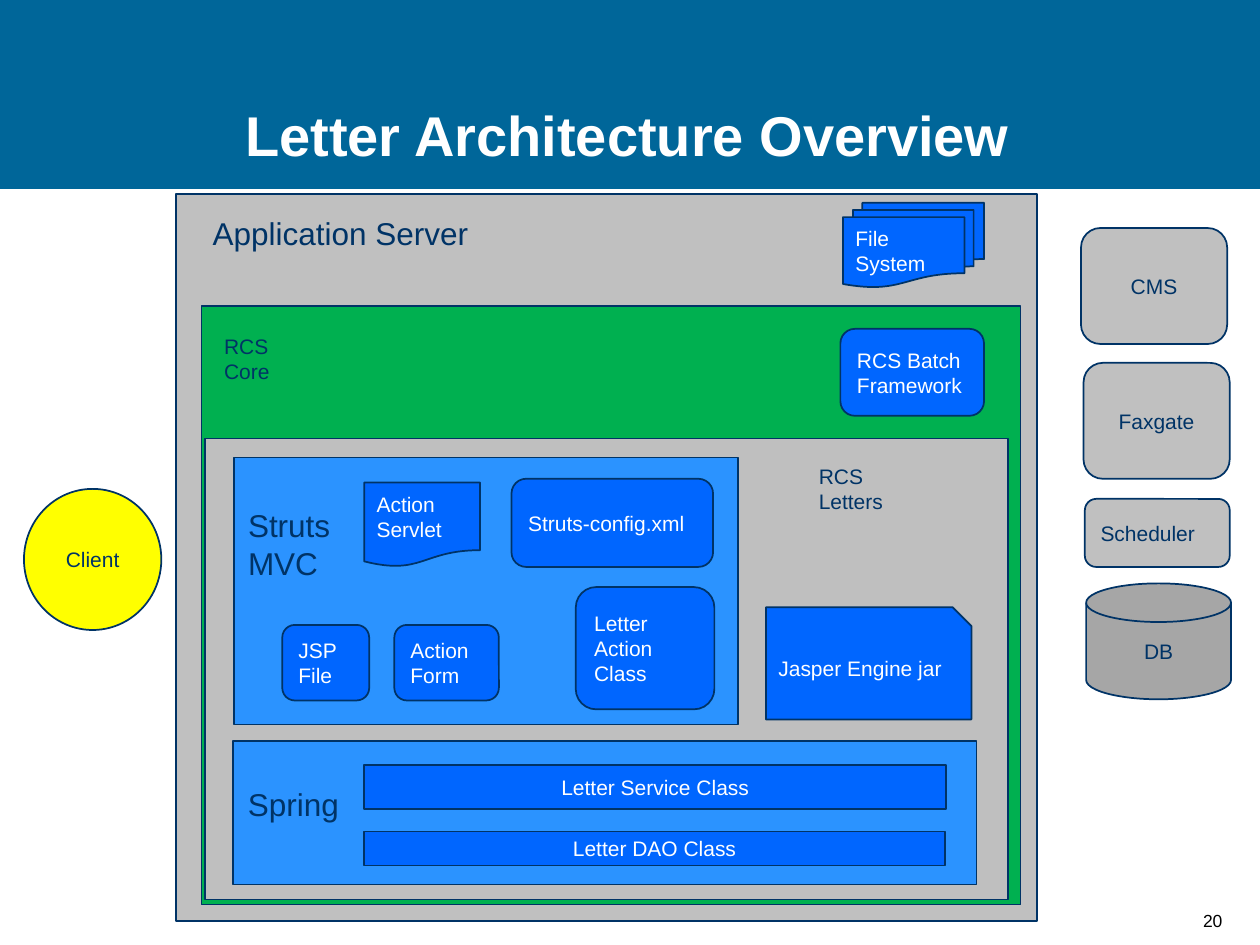
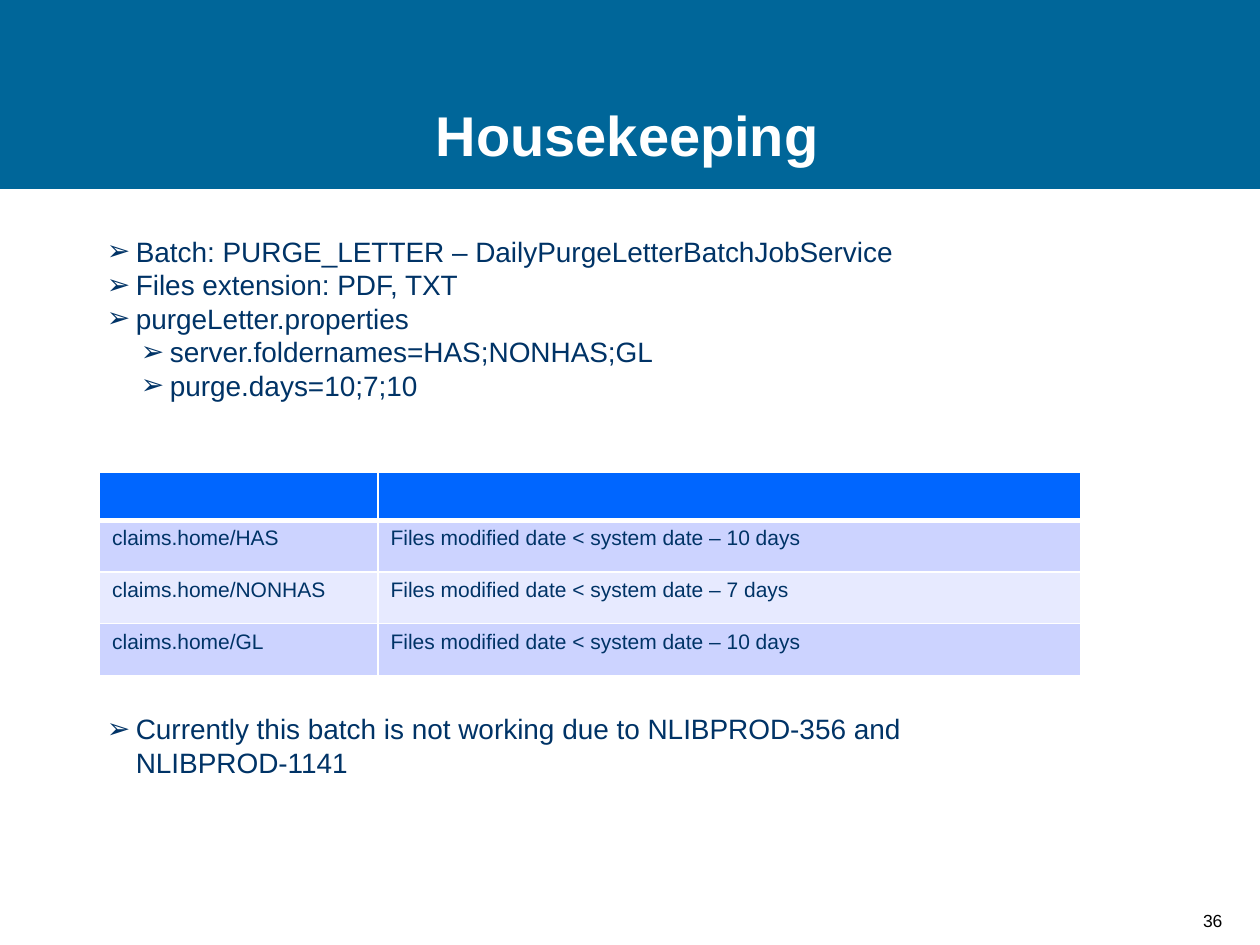
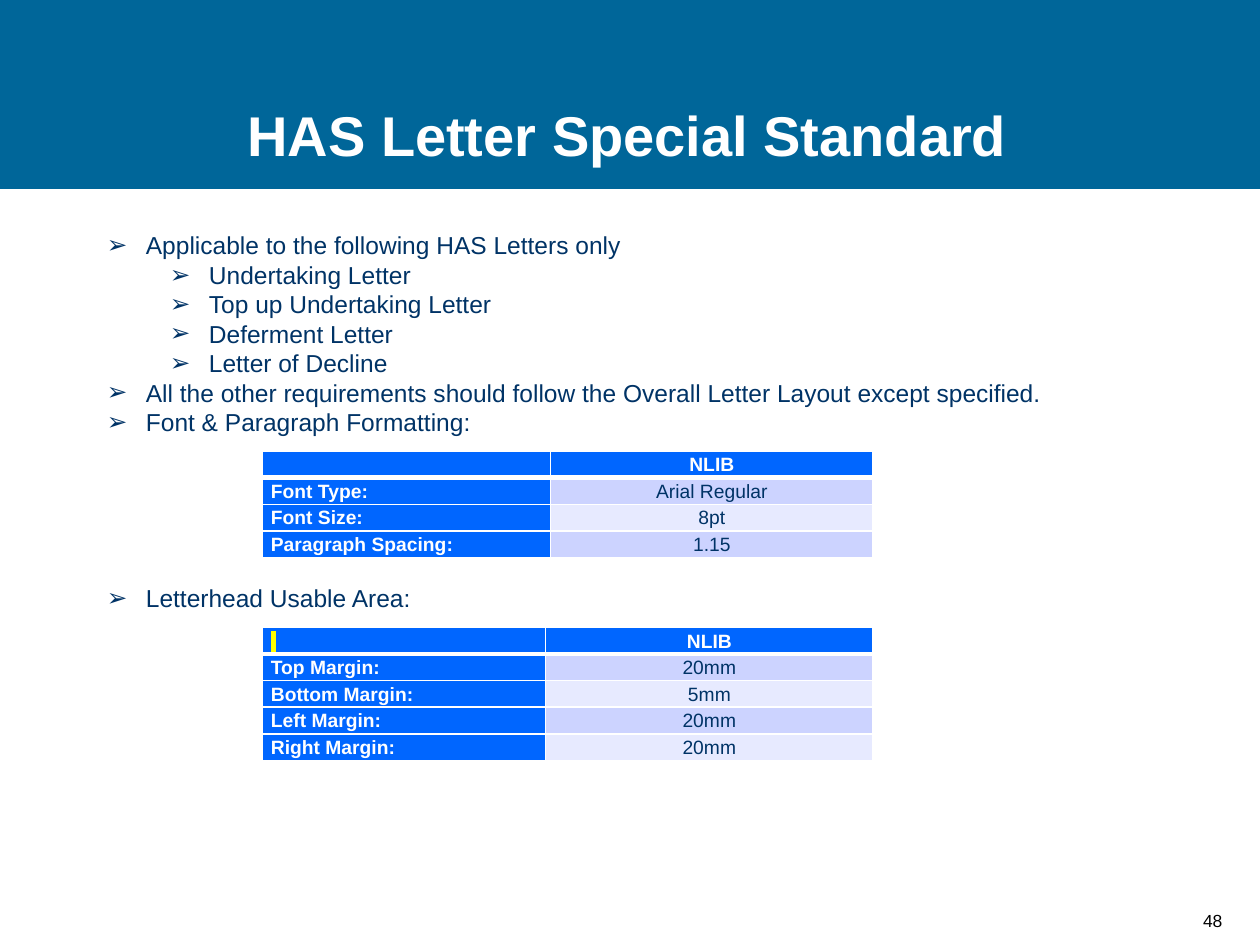
import pptx
import pptx.util
import pptx.dml.color
import pptx.enum.shapes
import pptx.enum.text
import pptx.oxml
import pptx.oxml.ns
import lxml.etree

Inches = pptx.util.Inches
Pt = pptx.util.Pt
RGBColor = pptx.dml.color.RGBColor
Shape = pptx.enum.shapes.MSO_SHAPE
Align = pptx.enum.text.PP_ALIGN
Anchor = pptx.enum.text.MSO_ANCHOR
qn = pptx.oxml.ns.qn

# Shared style
FONT = "Arial"
BAND = RGBColor(0x00, 0x66, 0x99)
NAVY = RGBColor(0x00, 0x33, 0x66)
BLUE = RGBColor(0x00, 0x66, 0xFF)
SKY = RGBColor(0x2B, 0x93, 0xFF)
GREEN = RGBColor(0x00, 0xB0, 0x50)
YELLOW = RGBColor(0xFF, 0xFF, 0x00)
SILVER = RGBColor(0xC0, 0xC0, 0xC0)
LIGHT = RGBColor(0xBF, 0xBF, 0xBF)
GRAY = RGBColor(0xA6, 0xA6, 0xA6)
LILAC = RGBColor(0xCC, 0xD3, 0xFF)
PALE = RGBColor(0xE7, 0xEA, 0xFF)
WHITE = RGBColor(0xFF, 0xFF, 0xFF)
BLACK = RGBColor(0x00, 0x00, 0x00)
LEFT, MID, RIGHT = Align.LEFT, Align.CENTER, Align.RIGHT


def style(par, size, color, align=LEFT, bold=False):
    par.alignment = align
    for run in par.runs:
        run.font.name = FONT
        run.font.size = Pt(size)
        run.font.bold = bold
        run.font.color.rgb = color


def draw(slide, kind, at, text="", fill=None, line=NAVY, size=12,
         color=NAVY, align=LEFT, bold=False, anchor=Anchor.MIDDLE):
    """Add a preset shape, or a text box when kind is None."""
    spot = [Inches(n) for n in at]
    if kind is None:
        item = slide.shapes.add_textbox(*spot)
    else:
        item = slide.shapes.add_shape(kind, *spot)
        item.shadow.inherit = False
        item.fill.solid()
        item.fill.fore_color.rgb = fill
        if line is None:
            item.line.fill.background()
        else:
            item.line.color.rgb = line
            item.line.width = Pt(1)
    frame = item.text_frame
    frame.word_wrap = True
    frame.vertical_anchor = anchor
    if text:
        frame.text = text
        for par in frame.paragraphs:
            style(par, size, color, align, bold)
    return item


deck = pptx.Presentation()
deck.slide_width = Inches(10)
deck.slide_height = Inches(7.5)

# Band, title and page number on every slide
pages = []
for title, number in [("Letter Architecture Overview", "20"),
                      ("Housekeeping", "36"),
                      ("HAS Letter Special Standard", "48")]:
    page = deck.slides.add_slide(deck.slide_layouts[6])
    draw(page, Shape.RECTANGLE, (0, 0, 10, 1.5), fill=BAND, line=None)
    draw(page, None, (1.83, 0.5, 6.3, 0.88), title, size=32, color=WHITE,
         align=MID, bold=True, anchor=Anchor.BOTTOM)
    foot = draw(page, None, (7.95, 7.14, 1.85, 0.3), number, size=10,
                color=BLACK, align=RIGHT, anchor=Anchor.BOTTOM)
    foot.text_frame.paragraphs[0].line_spacing = 0.8
    pages.append(page)
arch, house, special = pages

# Architecture: nested layers
for at, fill in [((1.4, 1.54, 6.83, 5.77), SILVER),
                 ((1.6, 2.43, 6.5, 4.75), GREEN),
                 ((1.63, 3.48, 6.37, 3.66), LIGHT),
                 ((1.86, 3.63, 4, 2.12), SKY),
                 ((1.85, 5.88, 5.9, 1.14), SKY)]:
    draw(arch, Shape.RECTANGLE, at, fill=fill)

# Architecture: layer names
for at, text, size in [((1.59, 1.65, 2.33, 0.4), "Application Server", 18),
                       ((1.68, 2.6, 0.83, 0.5), "RCS Core", 12),
                       ((1.87, 3.97, 0.91, 0.71), "Struts MVC", 18),
                       ((6.4, 3.63, 0.83, 0.5), "RCS Letters", 12),
                       ((1.87, 6.18, 1.07, 0.4), "Spring", 18)]:
    draw(arch, None, at, text, size=size, anchor=Anchor.TOP)

# Architecture: parts inside the server
ROUND = Shape.ROUNDED_RECTANGLE
for kind, at, text, align in [
        (Shape.FLOWCHART_MULTIDOCUMENT, (6.69, 1.61, 1.12, 0.67), "File System", LEFT),
        (ROUND, (6.67, 2.61, 1.14, 0.69), "RCS Batch Framework", LEFT),
        (Shape.FLOWCHART_DOCUMENT, (2.89, 3.83, 0.92, 0.67), "Action Servlet", LEFT),
        (ROUND, (4.06, 3.8, 1.6, 0.7), "Struts-config.xml", LEFT),
        (ROUND, (4.57, 4.66, 1.1, 0.97), "Letter Action Class", LEFT),
        (ROUND, (2.24, 4.96, 0.69, 0.6), "JSP File", LEFT),
        (ROUND, (3.13, 4.96, 0.83, 0.6), "Action Form", LEFT),
        (Shape.SNIP_1_RECTANGLE, (6.08, 4.82, 1.63, 0.89), "Jasper Engine jar", LEFT),
        (Shape.RECTANGLE, (2.89, 6.07, 4.62, 0.35), "Letter Service Class", MID),
        (Shape.RECTANGLE, (2.89, 6.6, 4.61, 0.27), "Letter DAO Class", MID)]:
    draw(arch, kind, at, text, BLUE, color=WHITE, align=align)

# Architecture: client and outside systems
for kind, at, text, fill, align in [
        (Shape.OVAL, (0.19, 3.88, 1.09, 1.12), "Client", YELLOW, MID),
        (ROUND, (8.58, 1.81, 1.16, 0.92), "CMS", SILVER, MID),
        (ROUND, (8.6, 2.88, 1.16, 0.92), "Faxgate", SILVER, MID),
        (ROUND, (8.61, 3.96, 1.15, 0.54), "Scheduler", SILVER, LEFT),
        (Shape.FLOWCHART_MAGNETIC_DISK, (8.62, 4.63, 1.15, 0.92), "DB", GRAY, MID)]:
    draw(arch, kind, at, text, fill, align=align)

# Bullet lists: each point is (level, text); margins are per level
duties = [(0, "Batch: PURGE_LETTER – DailyPurgeLetterBatchJobService"),
          (0, "Files extension: PDF, TXT"),
          (0, "purgeLetter.properties"),
          (1, "server.foldernames=HAS;NONHAS;GL"),
          (1, "purge.days=10;7;10")]
status = [(0, "Currently this batch is not working due to "
              "NLIBPROD-356 and NLIBPROD-1141")]
rules = [(0, "Applicable to the following HAS Letters only"),
         (1, "Undertaking Letter"),
         (1, "Top up Undertaking Letter"),
         (1, "Deferment Letter"),
         (1, "Letter of Decline"),
         (0, "All the other requirements should follow the Overall "
             "Letter Layout except specified."),
         (0, "Font & Paragraph Formatting:"),
         (0, "Letterhead Usable Area:")]
for page, at, size, hang, edges, points in [
        (house, (0.75, 1.81, 8.5, 3.88), 16, 0.23, (0.23, 0.5), duties),
        (house, (0.75, 5.6, 7.83, 0.49), 16, 0.23, (0.23, 0.5), status),
        (special, (0.75, 1.78, 8.33, 4.81), 14, 0.31, (0.31, 0.81), rules)]:
    text = "\n".join(point for level, point in points)
    area = draw(page, None, at, text, size=size, anchor=Anchor.TOP)
    for par, (level, point) in zip(area.text_frame.paragraphs, points):
        par.level = level
        props = par._p.get_or_add_pPr()
        props.set("marL", str(Inches(edges[level])))
        props.set("indent", str(-Inches(hang)))
        lxml.etree.SubElement(props, qn("a:buFont")).set("typeface", FONT)
        lxml.etree.SubElement(props, qn("a:buChar")).set("char", "➢")
# Room for the first table above the last point
par.space_before = Pt(84)

# Tables: place, column widths, row heights, compact look, rows
purge = [("", ""),
         ("claims.home/HAS", "Files modified date < system date – 10 days"),
         ("claims.home/NONHAS", "Files modified date < system date – 7 days"),
         ("claims.home/GL", "Files modified date < system date – 10 days")]
fonts = [("", "NLIB"),
         ("Font Type:", "Arial Regular"),
         ("Font Size:", "8pt"),
         ("Paragraph Spacing:", "1.15")]
edges = [(" ", "NLIB"),
         ("Top Margin:", "20mm"),
         ("Bottom Margin:", "5mm"),
         ("Left Margin:", "20mm"),
         ("Right Margin:", "20mm")]
for page, left, top, wide, head, high, tight, rows in [
        (house, 0.79, 3.75, (2.21, 5.58), 0.38, 0.41, False, purge),
        (special, 2.08, 3.58, (2.29, 2.56), 0.21, 0.21, True, fonts),
        (special, 2.08, 4.98, (2.25, 2.6), 0.21, 0.21, True, edges)]:
    tall = head + high * (len(rows) - 1)
    grid = page.shapes.add_table(len(rows), 2, Inches(left), Inches(top),
                                 Inches(sum(wide)), Inches(tall)).table
    for col, width in zip(grid.columns, wide):
        col.width = Inches(width)
    for r, row in enumerate(rows):
        grid.rows[r].height = Inches(high if r else head)
        for c, text in enumerate(row):
            cell = grid.cell(r, c)
            strong = r == 0 or (tight and c == 0)
            size = 11 if tight else 12

            # White borders, heavier under the header
            props = cell._tc.get_or_add_tcPr()
            for side in "LRTB":
                heavy = (r, side) in [(0, "B"), (1, "T")]
                edge = lxml.etree.SubElement(props, qn("a:ln" + side))
                edge.set("w", str(Pt(3 if heavy else 1)))
                paint = lxml.etree.SubElement(edge, qn("a:solidFill"))
                lxml.etree.SubElement(paint, qn("a:srgbClr")).set("val", str(WHITE))
            cell.fill.solid()
            cell.fill.fore_color.rgb = BLUE if strong else LILAC if r % 2 else PALE

            cell.text_frame.text = text
            par = cell.text_frame.paragraphs[0]
            style(par, size, WHITE if strong else NAVY,
                  MID if tight and c else LEFT, strong)
            if not text:
                par._p.get_or_add_endParaRPr().set("sz", str(size * 100))
            if tight:
                par.line_spacing = 1.15
                cell.margin_left = cell.margin_right = Inches(0.07)
                cell.margin_top = cell.margin_bottom = 0

# Highlighted mark in the last table's corner
mark = grid.cell(0, 0).text_frame.paragraphs[0].runs[0]
glow = lxml.etree.Element(qn("a:highlight"))
lxml.etree.SubElement(glow, qn("a:srgbClr")).set("val", str(YELLOW))
mark._r.rPr.find(qn("a:solidFill")).addnext(glow)

deck.save("out.pptx")
